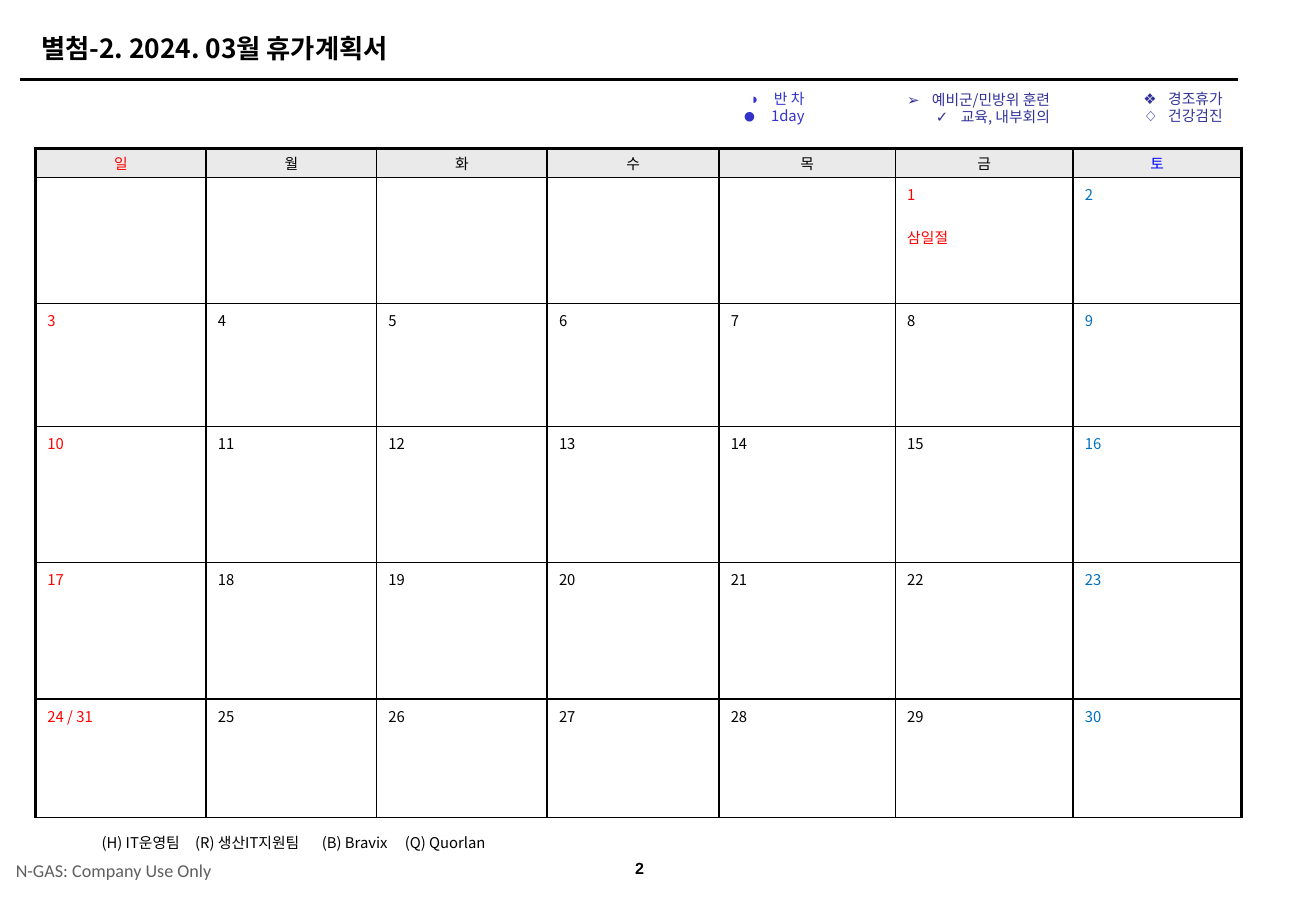
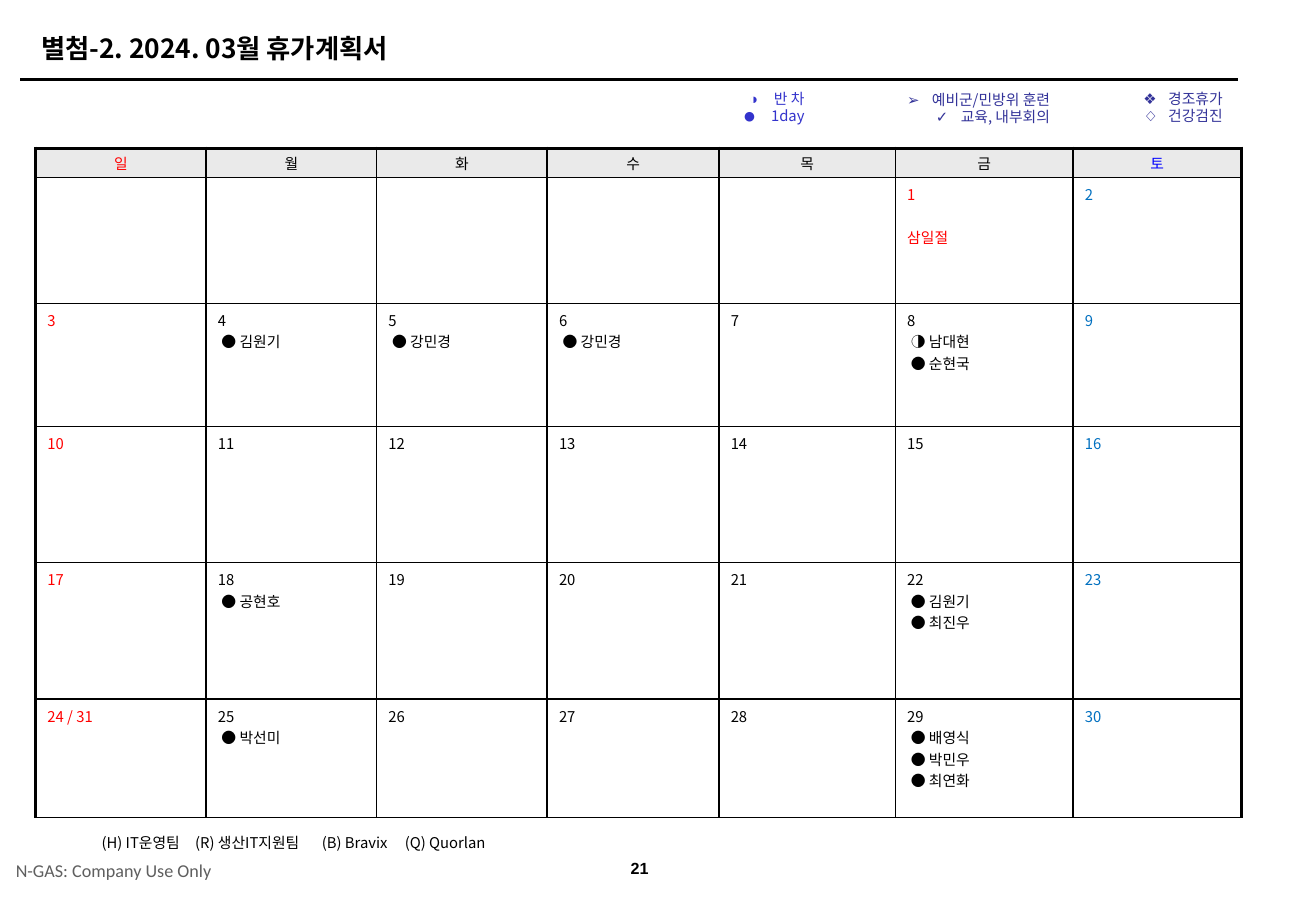
from dataclasses import dataclass

import pptx
import pptx.dml.color
import pptx.enum.shapes
import pptx.enum.text
import pptx.oxml.ns
import pptx.util
from lxml import etree

Inches = pptx.util.Inches
Pt = pptx.util.Pt
Align = pptx.enum.text.PP_ALIGN
Anchor = pptx.enum.text.MSO_ANCHOR


@dataclass(frozen=True)
class Theme:
    font: str = "Noto Sans CJK KR"
    number_font: str = "Arial"
    notice_font: str = "Calibri"
    black: str = "000000"
    red: str = "FF0000"
    saturday: str = "0070C0"
    saturday_header: str = "0000FF"
    header_fill: str = "EAEAEA"
    leave: str = "3333CC"
    event: str = "333399"
    notice: str = "5F5F5F"
    title_size: float = 16
    notice_size: float = 11
    number_size: float = 9.8
    body_size: float = 9


THEME = Theme()
TITLE = "별첨-2. 2024. 03월 휴가계획서"
NOTICE = "N-GAS: Company Use Only"
TEAMS = "(H) IT운영팀\t(R) 생산IT지원팀\t(B) Bravix\t(Q) Quorlan"
TEAM_TABS = (0.79, 1.86, 2.56)
LEGENDS = (
    ((6.17, 0.72, 0.72, 0.4), THEME.leave, (("◑", "반 차", 100), ("●", " 1day", 150))),
    ((7.41, 0.73, 1.58, 0.39), THEME.event,
     (("➢", "예비군/민방위 훈련 ", 100), ("✓", "교육, 내부회의 ", 100))),
    ((8.59, 0.72, 1.83, 0.39), THEME.event,
     (("❖", "경조휴가", 100), ("◇", "건강검진", 100))),
)
WEEKDAYS = "일월화수목금토"
COLUMN_WIDTHS = (1.44, 1.44, 1.44, 1.45, 1.49, 1.5, 1.42)
ROW_HEIGHTS = (0.25, 1.06, 1.04, 1.15, 1.15, 1)
FIRST_WEEKDAY = 5
LAST_DAY = 31
HOLIDAYS = {1: "삼일절"}
LEAVES = {
    4: ("● 김원기",),
    5: ("● 강민경",),
    6: ("● 강민경",),
    8: ("◑ 남대현", "● 순현국"),
    18: ("● 공현호",),
    22: ("● 김원기", "● 최진우"),
    25: ("● 박선미",),
    29: ("● 배영식", "● 박민우", "● 최연화"),
}


def add_element(parent, tag, **attributes):
    element = etree.SubElement(parent, pptx.oxml.ns.qn(tag))
    for name, value in attributes.items():
        element.set(name, str(value))
    return element


def format_runs(paragraph, color, size=THEME.body_size, font=THEME.font, bold=False):
    for run in paragraph.runs:
        run.font.size = Pt(size)
        run.font.bold = bold
        run.font.color.rgb = pptx.dml.color.RGBColor.from_string(color)
        run.font.name = font
        add_element(run.font._element, "a:ea", typeface=font)


def add_textbox(slide, box, text, anchor=Anchor.TOP, wrap=True):
    shape = slide.shapes.add_textbox(*map(Inches, box))
    text_frame = shape.text_frame
    text_frame.word_wrap = wrap
    text_frame.vertical_anchor = anchor
    text_frame.text = text
    return text_frame


def add_line(slide, start, end, color, width):
    connector = slide.shapes.add_connector(
        pptx.enum.shapes.MSO_CONNECTOR.STRAIGHT, *map(Inches, start + end))
    connector.line.color.rgb = pptx.dml.color.RGBColor.from_string(color)
    connector.line.width = Pt(width)
    add_element(connector._element.spPr, "a:effectLst")


def add_legend(slide, box, color, entries):
    text = "\n".join(label for _, label, _ in entries)
    text_frame = add_textbox(slide, box, text, wrap=box[2] > 1)
    for paragraph, (symbol, _, percent) in zip(text_frame.paragraphs, entries):
        properties = paragraph._p.get_or_add_pPr()
        properties.set("marL", str(Inches(0.21)))
        properties.set("indent", str(Inches(-0.21)))
        add_element(add_element(properties, "a:buClr"), "a:srgbClr", val=color)
        add_element(properties, "a:buSzPct", val=percent * 1000)
        add_element(properties, "a:buFont", typeface=THEME.number_font)
        add_element(properties, "a:buChar", char=symbol)
        paragraph.alignment = Align.RIGHT
        paragraph.line_spacing = 0.95
        format_runs(paragraph, color)


def add_teams(slide):
    text_frame = add_textbox(slide, (0.76, 7, 3.6, 0.24), TEAMS, Anchor.MIDDLE)
    paragraph = text_frame.paragraphs[0]
    tabs = add_element(paragraph._p.get_or_add_pPr(), "a:tabLst")
    for position in TEAM_TABS:
        add_element(tabs, "a:tab", pos=Inches(position), algn="l")
    paragraph.line_spacing = 0.95
    format_runs(paragraph, THEME.black)


def add_frame(slide, number):
    add_line(slide, (0.17, 0.67), (10.45, 0.67), THEME.black, 1.5)
    page = add_textbox(slide, (5.13, 7.17, 0.54, 0.31), str(number), Anchor.MIDDLE, False)
    page.paragraphs[0].alignment = Align.CENTER
    format_runs(page.paragraphs[0], THEME.black, THEME.number_size, THEME.number_font, True)
    notice = add_textbox(slide, (0, 7.19, 1.92, 0.31), NOTICE, Anchor.MIDDLE)
    notice.margin_left = notice.margin_right = 0
    notice.paragraphs[0].alignment = Align.CENTER
    format_runs(notice.paragraphs[0], THEME.notice, THEME.notice_size, THEME.notice_font)
    title = add_textbox(slide, (0.25, 0.22, 9.9, 0.37), TITLE, Anchor.MIDDLE)
    format_runs(title.paragraphs[0], THEME.black, THEME.title_size, bold=True)


def set_borders(cell, row, column):
    widths = {
        "a:lnL": 2 if column == 0 else 1,
        "a:lnR": 2 if column == len(WEEKDAYS) - 1 else 1,
        "a:lnT": 2 if row == 0 else 1,
        "a:lnB": 1,
    }
    properties = cell._tc.get_or_add_tcPr()
    for tag, width in widths.items():
        line = add_element(properties, tag, w=Pt(width))
        add_element(add_element(line, "a:solidFill"), "a:srgbClr", val=THEME.black)


def fill_header(cell, column):
    cell.fill.solid()
    cell.fill.fore_color.rgb = pptx.dml.color.RGBColor.from_string(THEME.header_fill)
    cell.vertical_anchor = Anchor.MIDDLE
    cell.margin_top = cell.margin_bottom = Inches(0.03)
    cell.text_frame.text = WEEKDAYS[column]
    paragraph = cell.text_frame.paragraphs[0]
    paragraph.alignment = Align.CENTER
    format_runs(paragraph, {0: THEME.red, 6: THEME.saturday_header}.get(column, THEME.black))


def fill_day(cell, row, column, leaves):
    cell.fill.background()
    day = (row - 1) * 7 + column - FIRST_WEEKDAY + 1
    if day < 1:
        return
    label = str(day)
    if row == len(ROW_HEIGHTS) - 1 and day + 7 <= LAST_DAY:
        label += f" / {day + 7}"
    holiday = [HOLIDAYS[day]] if day in HOLIDAYS else []
    cell.text_frame.text = "\n".join([label, *holiday, *leaves.get(day, ())])
    color = {0: THEME.red, 6: THEME.saturday}.get(column, THEME.black)
    for index, paragraph in enumerate(cell.text_frame.paragraphs):
        if index and holiday:
            paragraph.space_before = Pt(13)
        elif index:
            paragraph._p.get_or_add_pPr().set("marL", str(Inches(0.03)))
        format_runs(paragraph, THEME.red if holiday else color)


def add_calendar(slide, leaves):
    table = slide.shapes.add_table(
        len(ROW_HEIGHTS), len(COLUMN_WIDTHS), Inches(0.3), Inches(1.25),
        Inches(sum(COLUMN_WIDTHS)), Inches(sum(ROW_HEIGHTS))).table
    table.first_row = table.horz_banding = False
    for column, width in enumerate(COLUMN_WIDTHS):
        table.columns[column].width = Inches(width)
    for row, height in enumerate(ROW_HEIGHTS):
        table.rows[row].height = Inches(height)
        for column in range(len(COLUMN_WIDTHS)):
            cell = table.cell(row, column)
            set_borders(cell, row, column)
            if row == 0:
                fill_header(cell, column)
            else:
                fill_day(cell, row, column, leaves)


def main():
    presentation = pptx.Presentation()
    presentation.slide_width = Inches(11.11)
    presentation.slide_height = Inches(7.57)
    for number, leaves in ((2, {}), (21, LEAVES)):
        slide = presentation.slides.add_slide(presentation.slide_layouts[6])
        add_frame(slide, number)
        add_calendar(slide, leaves)
        for legend in LEGENDS:
            add_legend(slide, *legend)
        add_teams(slide)
    presentation.save("out.pptx")


if __name__ == "__main__":
    main()
